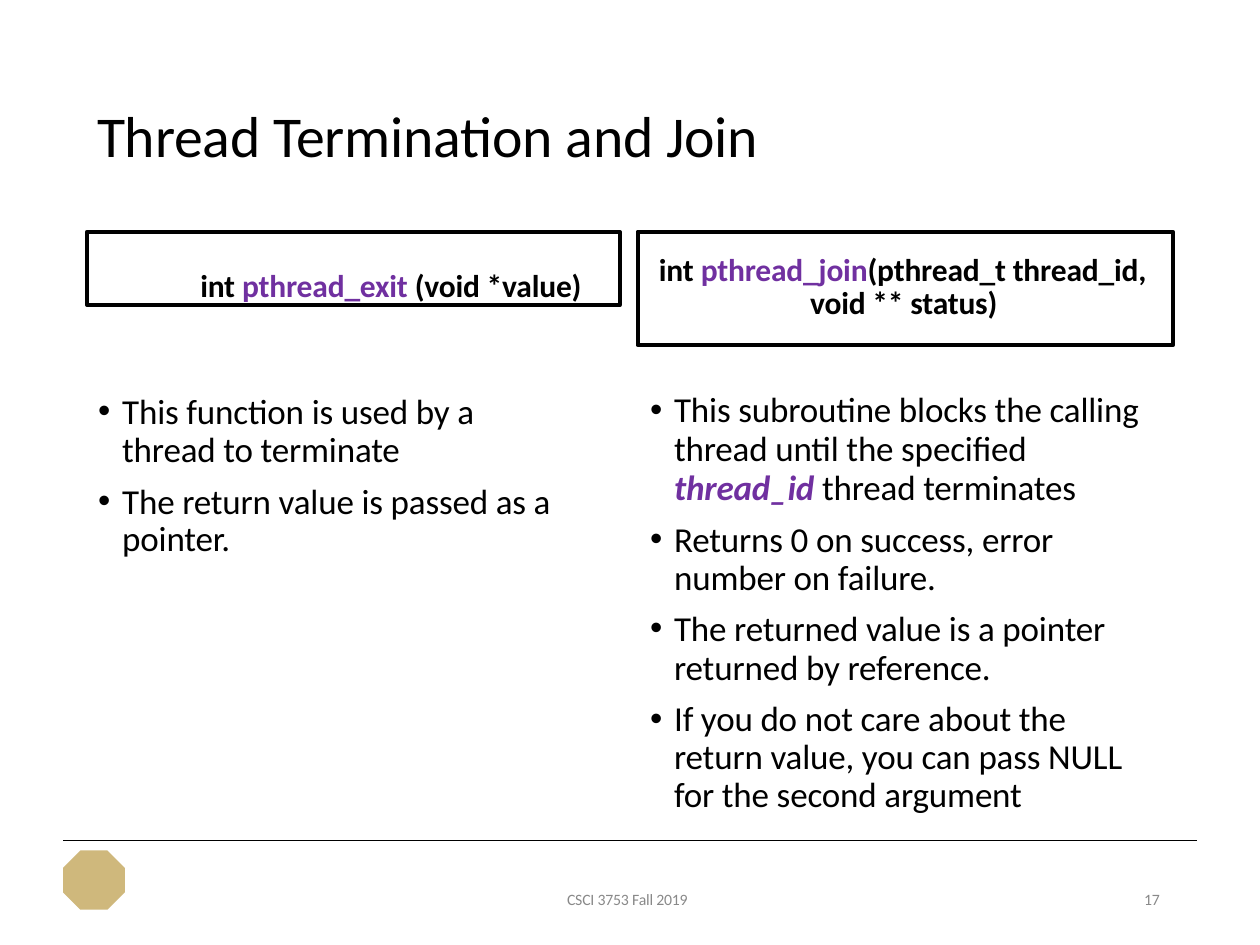
from lxml import etree
from pptx import Presentation
from pptx.dml.color import RGBColor
from pptx.enum.shapes import MSO_CONNECTOR, MSO_SHAPE
from pptx.enum.text import MSO_ANCHOR
from pptx.oxml.ns import qn
from pptx.util import Inches, Pt

THEME = {
    "font": "Calibri",
    "black": "000000", "purple": "7030A0", "grey": "898989", "gold": "CFB87C",
    "title": 33, "body": 20, "code": 18, "small": 9,
}

# Run styles: size and colour name a THEME entry
TITLE = {"size": "title", "color": "black"}
SMALL = {"size": "small", "color": "grey"}
BODY = {"size": "body", "color": "black"}
TERM = {"size": "body", "color": "purple", "bold": True, "italic": True}
CODE = {"size": "code", "color": "black", "bold": True}
NAME = {"size": "code", "color": "purple", "bold": True}

# Plain labels: left, top, width, height, text, style
LABELS = [
    (0.77, 0.78, 5.25, 0.58, "Thread Termination and Join", TITLE),
    (4.5, 7.05, 1.01, 0.18, "CSCI 3753 Fall 2019", SMALL),
    (9.08, 7.05, 0.17, 0.18, "17", SMALL),
]

# Signature boxes: place, top inset, (indent, first line), line spacing, runs
SIGNATURES = [
    {"at": (0.69, 1.84, 4.23, 0.58), "inset": 0.27, "indent": (0.9, 0), "spacing": 1.0,
     "runs": [("int ", CODE), ("pthread_exit ", NAME), ("(void *value)", CODE)]},
    {"at": (5.06, 1.84, 4.25, 0.9), "inset": 0.18, "indent": (1.37, -1.2), "spacing": Pt(19),
     "runs": [("int ", CODE), ("pthread_join", NAME),
              ("(pthread_t thread_id, void ** status)", CODE)]},
]

# Bullet lists: place, top inset, and (space before, line spacing, runs) per item
BULLETS = [
    {"at": (0.77, 3.07, 3.66, 1.38), "inset": 0.05, "items": [
        (0, Pt(21.8), [("This function is used by a thread to terminate", BODY)]),
        (8.8, Pt(21.1), [("The return value is passed as a pointer.", BODY)]),
    ]},
    {"at": (5.15, 3.07, 3.95, 3.44), "inset": 0.04, "items": [
        (0, 0.92, [("This subroutine blocks the calling thread until the specified ", BODY),
                   ("thread_id", TERM), (" thread terminates", BODY)]),
        (7.6, Pt(21.8), [("Returns 0 on success, error number on failure.", BODY)]),
        (7, Pt(22.1), [("The returned value is a pointer returned by reference.", BODY)]),
        (8.1, 0.9, [("If you do not care about the return value, you can pass NULL "
                     "for the second argument", BODY)]),
    ]},
]
BULLET_INDENT = (0.2, -0.19)
RULE = (0.5, 6.67, 9.5, 6.67)
EMBLEM = (0.5, 6.75, 0.49, 0.47)


def inches(values):
    return [Inches(v) for v in values]


def rgb(name):
    return RGBColor.from_string(THEME[name])


def set_frame(sp, top_inset, wrap=True):
    tf = sp.text_frame
    frame = {"margin_left": 0, "margin_right": 0, "margin_bottom": 0,
             "margin_top": Inches(top_inset), "word_wrap": wrap,
             "vertical_anchor": MSO_ANCHOR.TOP}
    for key, value in frame.items():
        setattr(tf, key, value)
    return tf


def set_indent(p, indent):
    p_pr = p._p.get_or_add_pPr()
    for key, value in zip(("marL", "indent"), indent):
        p_pr.set(key, str(Inches(value)))
    p_pr.set("algn", "l")
    return p_pr


def add_runs(p, runs):
    for text, style in runs:
        r = p.add_run()
        r.text = text
        font = {"name": THEME["font"], "size": Pt(THEME[style["size"]]),
                "bold": style.get("bold", False), "italic": style.get("italic", False)}
        for key, value in font.items():
            setattr(r.font, key, value)
        r.font.color.rgb = rgb(style["color"])
        r._r.get_or_add_rPr().set("spc", "-10")


def add_label(shapes, left, top, width, height, text, style):
    sp = shapes.add_textbox(*inches((left, top, width, height)))
    add_runs(set_frame(sp, 0.01, wrap=False).paragraphs[0], [(text, style)])


def add_signature(shapes, box):
    sp = shapes.add_shape(MSO_SHAPE.RECTANGLE, *inches(box["at"]))
    sp.shadow.inherit = False
    sp.fill.background()
    sp.line.color.rgb = rgb("black")
    sp.line.width = Pt(2.25)
    p = set_frame(sp, box["inset"]).paragraphs[0]
    p.line_spacing = box["spacing"]
    set_indent(p, box["indent"])
    add_runs(p, box["runs"])


def add_bullets(shapes, block):
    sp = shapes.add_textbox(*inches(block["at"]))
    tf = set_frame(sp, block["inset"])
    for i, (before, spacing, runs) in enumerate(block["items"]):
        p = tf.add_paragraph() if i else tf.paragraphs[0]
        p.space_before, p.line_spacing = Pt(before), spacing
        p_pr = set_indent(p, BULLET_INDENT)
        etree.SubElement(p_pr, qn("a:buFont")).set("typeface", "Arial")
        etree.SubElement(p_pr, qn("a:buChar")).set("char", "•")
        add_runs(p, runs)


def add_footer(shapes):
    rule = shapes.add_connector(MSO_CONNECTOR.STRAIGHT, *inches(RULE))
    rule.line.color.rgb = rgb("black")
    rule.line.width = Pt(1)
    etree.SubElement(rule._element.spPr, qn("a:effectLst"))
    # Plain stand-in for the emblem
    sp = shapes.add_shape(MSO_SHAPE.OCTAGON, *inches(EMBLEM))
    sp.shadow.inherit = False
    sp.fill.solid()
    sp.fill.fore_color.rgb = rgb("gold")
    sp.line.fill.background()


def main():
    prs = Presentation()
    prs.slide_width, prs.slide_height = inches((10, 7.5))
    shapes = prs.slides.add_slide(prs.slide_layouts[6]).shapes
    add_footer(shapes)
    for label in LABELS:
        add_label(shapes, *label)
    for block in BULLETS:
        add_bullets(shapes, block)
    for box in SIGNATURES:
        add_signature(shapes, box)
    prs.save("out.pptx")


if __name__ == "__main__":
    main()
